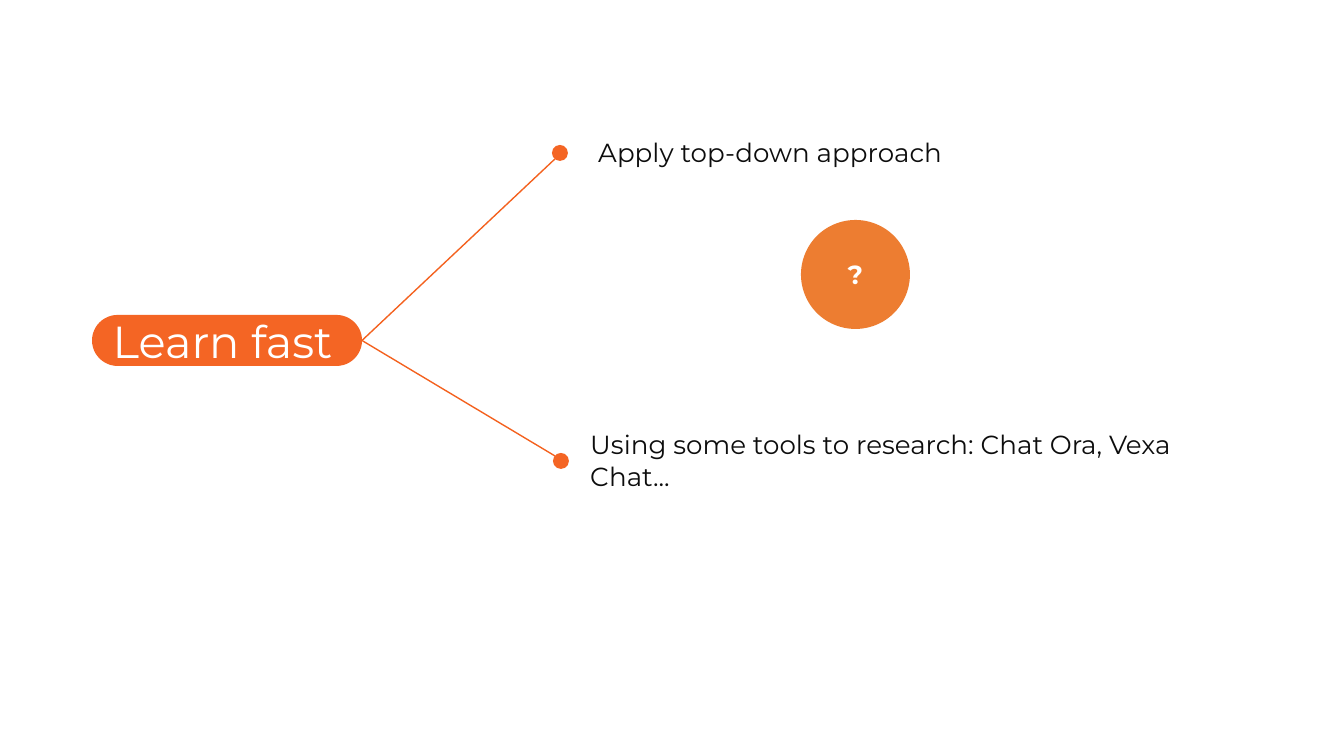
"""Build the "Learn fast" mind map slide."""
from lxml.etree import SubElement
from pptx import Presentation
from pptx.dml.color import RGBColor
from pptx.enum.shapes import MSO_CONNECTOR, MSO_SHAPE
from pptx.enum.text import MSO_ANCHOR, PP_ALIGN
from pptx.oxml.ns import qn
from pptx.util import Pt

SCALE = 914400 / 134.4
FLAME = RGBColor(0xF4, 0x65, 0x24)
LINE = RGBColor(0xF4, 0x61, 0x1E)
AMBER = RGBColor(0xED, 0x7D, 0x31)
WHITE = RGBColor(0xFF, 0xFF, 0xFF)
INK = RGBColor(0x0D, 0x0D, 0x0D)

TOPIC = ("Learn fast", (92, 315, 270, 51))
MARK = ("?", (801, 220, 109, 109))
BRANCHES = [
    {"text": "Apply top-down approach", "box": (585, 130, 673, 46),
     "dot": (552, 145), "end": (555, 159)},
    {"text": "Using some tools to research: Chat Ora, Vexa Chat...",
     "box": (577, 422, 673, 77), "dot": (553, 453), "end": (555, 456)},
]
DOT = 16

TOPIC_FONT = {"name": "Montserrat", "size": Pt(24)}
BRANCH_FONT = {"name": "Montserrat", "size": Pt(14)}
MARK_FONT = {"name": "Montserrat", "size": Pt(14), "bold": True}


def px(*nums):
    return [round(n * SCALE) for n in nums]


def write(shape, text, font, color, align=PP_ALIGN.LEFT, anchor=MSO_ANCHOR.TOP):
    frame = shape.text_frame
    frame.word_wrap = True
    frame.vertical_anchor = anchor
    para = frame.paragraphs[0]
    para.alignment = align
    run = para.add_run()
    run.text = text
    for key, value in font.items():
        setattr(run.font, key, value)
    run.font.color.rgb = color


def draw(slide, kind, box, color):
    shape = slide.shapes.add_shape(kind, *px(*box))
    shape.shadow.inherit = False
    shape.fill.solid()
    shape.fill.fore_color.rgb = color
    shape.line.fill.background()
    return shape


def link(slide, start, end):
    line = slide.shapes.add_connector(MSO_CONNECTOR.STRAIGHT, *px(*start, *end))
    line.line.color.rgb = LINE
    line.line.width = Pt(0.75)
    SubElement(line._element.spPr, qn("a:effectLst"))


def main():
    deck = Presentation()
    deck.slide_width, deck.slide_height = px(1344, 756)
    slide = deck.slides.add_slide(deck.slide_layouts[6])

    text, box = TOPIC
    pill = draw(slide, MSO_SHAPE.ROUNDED_RECTANGLE, box, FLAME)
    pill.adjustments[0] = 0.5
    frame = pill.text_frame
    for side in ("left", "top", "right", "bottom"):
        setattr(frame, f"margin_{side}", Pt(7.2))
    write(pill, text, TOPIC_FONT, WHITE, anchor=MSO_ANCHOR.MIDDLE)

    left, top, width, height = box
    start = (left + width, top + height / 2)
    for branch in BRANCHES:
        label = slide.shapes.add_textbox(*px(*branch["box"]))
        write(label, branch["text"], BRANCH_FONT, INK)
        draw(slide, MSO_SHAPE.OVAL, (*branch["dot"], DOT, DOT), FLAME)
        link(slide, start, branch["end"])

    text, box = MARK
    disc = draw(slide, MSO_SHAPE.OVAL, box, AMBER)
    write(disc, text, MARK_FONT, WHITE, PP_ALIGN.CENTER, MSO_ANCHOR.MIDDLE)
    deck.save("out.pptx")


if __name__ == "__main__":
    main()
